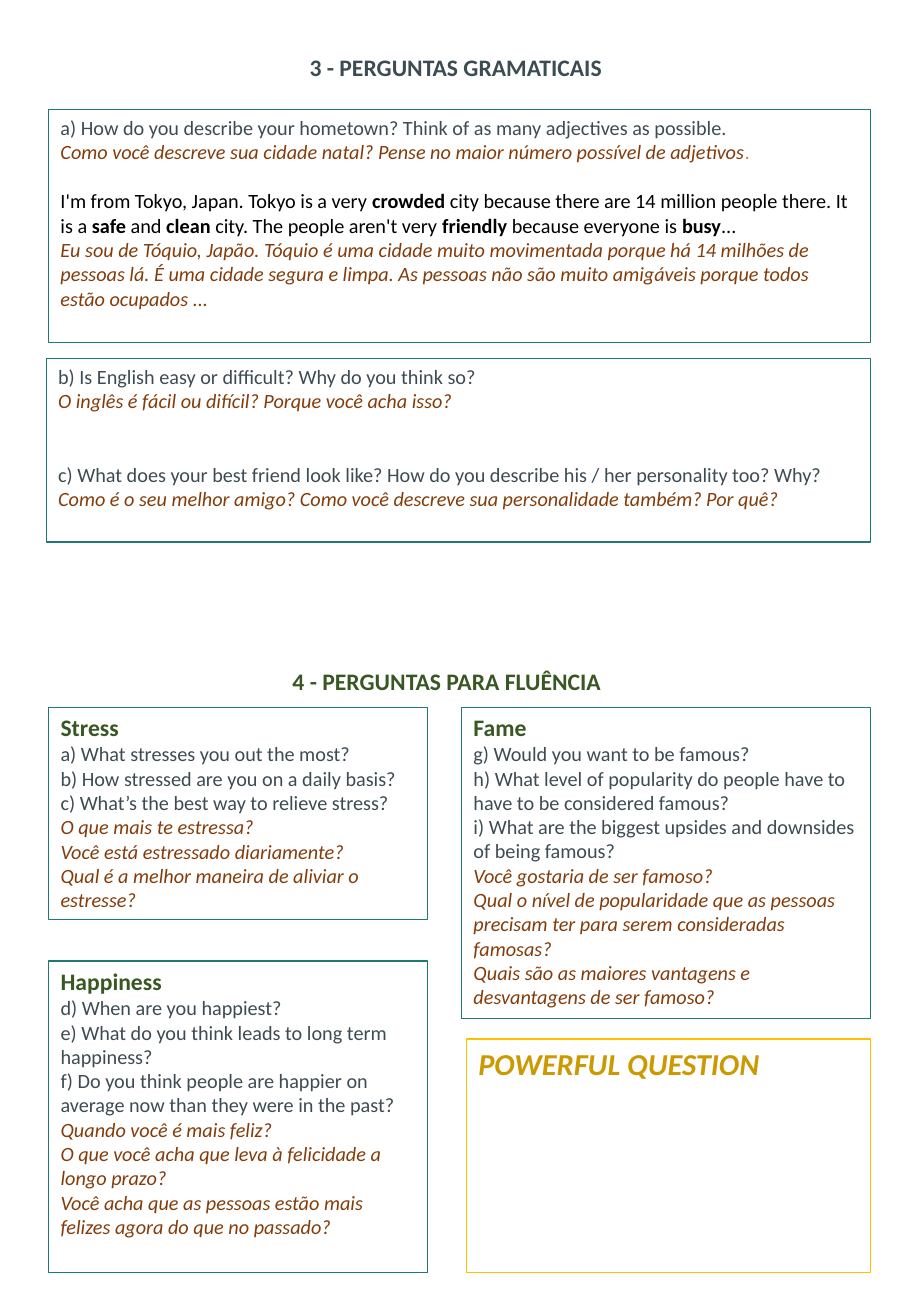
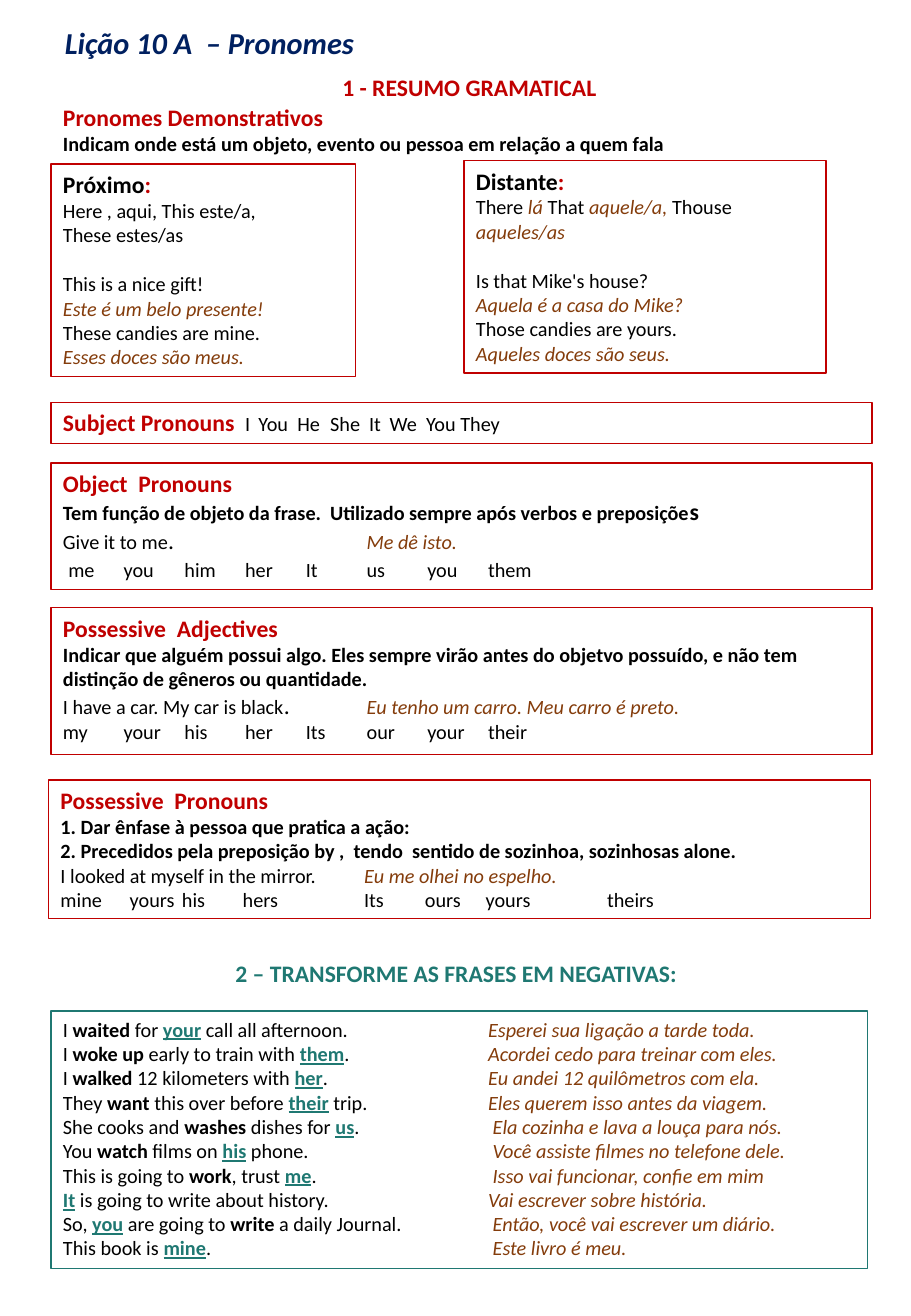
"""Build two worksheet pages of an English course."""
from dataclasses import dataclass

from lxml import etree
from pptx import Presentation
from pptx.dml.color import RGBColor
from pptx.enum.shapes import MSO_SHAPE
from pptx.enum.text import MSO_ANCHOR, PP_ALIGN
from pptx.oxml.ns import qn
from pptx.slide import Slide
from pptx.text.text import Font, TextFrame
from pptx.util import Inches, Pt

RECTANGLE = MSO_SHAPE.RECTANGLE
TOP = MSO_ANCHOR.TOP
CENTER = PP_ALIGN.CENTER

CELL = Inches(0.1)
COLUMNS, ROWS = 75, 108.3
FONT_NAME = "Calibri"
BLANK_LAYOUT = 6
BLANK_LINE = 14.6
TAB_STEP = 0.5

RED, TEAL, GREEN, SLATE = "C00000", "1F7872", "385723", "3D4C53"
NAVY, BROWN, GOLD, AMBER = "002060", "843C0B", "CC9900", "FFC000"
BLACK, ORANGE = "000000", "ED7D31"

BODY = {"size": Pt(12), "color": BLACK, "bold": False, "italic": False}
STRONG = BODY | {"bold": True}
QUESTION = BODY | {"color": SLATE}
TRANSLATION = BODY | {"color": BROWN, "italic": True}
HEADING = STRONG | {"size": Pt(14)}
BANNER = HEADING | {"size": Pt(18), "italic": True}

MARKS = {
    "*": {"bold": True},
    "_": {"bold": True, "underline": True, "color": TEAL},
    "~": TRANSLATION,
    "^": {"size": Pt(14)},
    "@": BODY,
    "#": {"color": RED},
    "§": {"color": ORANGE},
}


@dataclass
class Line:
    """A paragraph whose marked stretches change the base style."""

    text: str
    style: dict
    before: float = 0
    tabs: tuple[float, ...] = ()


@dataclass
class Box:
    """A block of lines placed in grid cells, framed when it has an outline."""

    left: float
    top: float
    width: float
    height: float
    lines: list[Line]
    outline: str = ""
    wrap: bool = True
    centered: bool = False


def rgb(value: str) -> RGBColor:
    """Turn a hex string into a colour."""
    return RGBColor.from_string(value)


def steps(*counts: int) -> tuple[float, ...]:
    """Return tab stops in inches at the given tab steps."""
    return tuple(count * TAB_STEP for count in counts)


def styled(style: dict, *texts: str) -> list[Line]:
    """Return one line per text, all in one style."""
    return [Line(text, style) for text in texts]


def title(left: float, top: float, width: float, text: str, color: str) -> Box:
    """Return a section title."""
    return Box(left, top, width, 3.4, styled(HEADING | {"color": color}, text), wrap=False)


def topic(heading: str, questions: list[str], translations: list[str]) -> list[Line]:
    """Return a heading, its questions and their translations."""
    return [
        *styled(HEADING | {"color": GREEN}, heading),
        *styled(QUESTION, *questions),
        *styled(TRANSLATION, *translations),
    ]


def rule(heading: str, explanations: list[str], *examples: Line) -> list[Line]:
    """Return a grammar heading, its explanations and examples."""
    return [
        *styled(HEADING | {"color": RED}, heading),
        *styled(STRONG, *explanations),
        *examples,
    ]


def exercises(pairs: list[tuple[str, str]]) -> list[Line]:
    """Return sentences with their translations in a second column."""
    return [Line(f"{english}\t~{portuguese}~", BODY, tabs=steps(7)) for english, portuguese in pairs]


def split_marks(text: str) -> list[tuple[str, str]]:
    """Split a text into pairs of mark and stretch."""
    pieces, mark, stretch = [], "", ""
    for letter in text:
        if letter in MARKS:
            pieces.append((mark, stretch))
            mark, stretch = ("" if mark == letter else letter), ""
        else:
            stretch += letter
    pieces.append((mark, stretch))
    return [piece for piece in pieces if piece[1]]


def apply_format(font: Font, style: dict) -> None:
    """Set the font attributes listed in a style."""
    font.name = FONT_NAME
    for name, value in style.items():
        if name == "color":
            font.color.rgb = rgb(value)
        else:
            setattr(font, name, value)


def write_lines(frame: TextFrame, box: Box) -> None:
    """Write the lines of a box into its text frame."""
    frame.word_wrap = box.wrap
    frame.vertical_anchor = TOP
    for index, line in enumerate(box.lines):
        paragraph = frame.add_paragraph() if index else frame.paragraphs[0]
        paragraph.alignment = CENTER if box.centered else PP_ALIGN.LEFT
        if line.before:
            paragraph.space_before = Pt(line.before)
        if line.tabs:
            tab_list = etree.SubElement(paragraph._p.get_or_add_pPr(), qn("a:tabLst"))
            for stop in line.tabs:
                etree.SubElement(tab_list, qn("a:tab"), pos=str(Inches(stop)), algn="l")
        for mark, stretch in split_marks(line.text):
            run = paragraph.add_run()
            run.text = stretch
            apply_format(run.font, line.style | MARKS.get(mark, {}))


def draw_box(slide: Slide, box: Box) -> None:
    """Draw a framed rectangle or a plain text box."""
    place = [round(length * CELL) for length in (box.left, box.top, box.width, box.height)]
    if box.outline:
        shape = slide.shapes.add_shape(RECTANGLE, *place)
        shape.shadow.inherit = False
        shape.fill.background()
        shape.line.color.rgb = rgb(box.outline)
        shape.line.width = Pt(0.75)
    else:
        shape = slide.shapes.add_textbox(*place)
    write_lines(shape.text_frame, box)


QUESTIONS_PAGE = [
    Box(4, 9, 67.7, 19.2, [
        Line("a) How do you describe your hometown? Think of as many adjectives as possible.", QUESTION),
        Line("Como você descreve sua cidade natal? Pense no maior número possível de adjetivos§.§", TRANSLATION),
        Line("I'm from Tokyo, Japan. Tokyo is a very *crowded *city because there are 14 million people there. "
             "It is a *safe* and *clean *city. The people aren't very *friendly *because everyone is *busy*...",
             BODY, BLANK_LINE),
        Line("Eu sou de Tóquio, Japão. Tóquio é uma cidade muito movimentada porque há 14 milhões de pessoas lá. "
             "É uma cidade segura e limpa. As pessoas não são muito amigáveis porque todos estão ocupados ...",
             TRANSLATION),
    ], TEAL),
    title(24.5, 3.9, 26.3, "3 - PERGUNTAS GRAMATICAIS", SLATE),
    Box(3.8, 29.5, 67.9, 15.1, [
        Line("b) Is English easy or difficult? Why do you think so?", QUESTION),
        Line("O inglês é fácil ou difícil? Porque você acha isso?", TRANSLATION),
        Line("c) What does your best friend look like? How do you describe his / her personality too? Why?",
             QUESTION, 2 * BLANK_LINE),
        Line("Como é o seu melhor amigo? Como você descreve sua personalidade também? Por quê?", TRANSLATION),
    ], TEAL),
    title(23.1, 54.4, 27.6, "4 - PERGUNTAS PARA FLUÊNCIA", GREEN),
    Box(4, 58.2, 31.2, 17.5, topic(
        "Stress",
        ["a) What stresses you out the most?",
         "b) How stressed are you on a daily basis?",
         "c) What’s the best way to relieve stress?"],
        ["O que mais te estressa?",
         "Você está estressado diariamente?",
         "Qual é a melhor maneira de aliviar o estresse?"]), TEAL),
    Box(38, 58.2, 33.7, 25.6, topic(
        "Fame",
        ["g) Would you want to be famous?",
         "h) What level of popularity do people have to have to be considered famous?",
         "i) What are the biggest upsides and downsides of being famous?"],
        ["Você gostaria de ser famoso?",
         "Qual o nível de popularidade que as pessoas precisam ter para serem consideradas famosas?",
         "Quais são as maiores vantagens e desvantagens de ser famoso?"]), TEAL),
    Box(4, 79.1, 31.2, 25.6, topic(
        "Happiness",
        ["d) When are you happiest?",
         "e) What do you think leads to long term happiness?",
         "f) Do you think people are happier on average now than they were in the past?"],
        ["Quando você é mais feliz?",
         "O que você acha que leva à felicidade a longo prazo?",
         "Você acha que as pessoas estão mais felizes agora do que no passado?"]), TEAL),
    Box(38.4, 85.5, 33.3, 19.2, styled(BANNER | {"color": GOLD}, "POWERFUL QUESTION"), AMBER),
]

PRONOUNS_PAGE = [
    Box(4.2, 1.5, 26.1, 4.3, styled(BANNER | {"color": NAVY}, "Lição 10 A  – Pronomes"),
        wrap=False, centered=True),
    Box(4.2, 8, 67.2, 23.6, rule(
        "Pronomes Demonstrativos",
        ["Indicam onde está um objeto, evento ou pessoa em relação a quem fala"])),
    Box(4.2, 13.5, 25.1, 17.5, [
        Line("Próximo#:#", HEADING),
        *styled(BODY, "Here , aqui, This este/a,", "These estes/as"),
        Line("This is a nice gift!", BODY, BLANK_LINE),
        Line("Este é um belo presente!", TRANSLATION),
        Line("These candies are mine.", BODY),
        Line("Esses doces são meus.", TRANSLATION),
    ], RED),
    Box(38.2, 13.2, 29.8, 17.5, [
        Line("Distante#:#", HEADING),
        Line("There ~lá ~That ~aquele/a,~ Thouse ~aqueles/as~", BODY),
        Line("Is that Mike's house?", BODY, BLANK_LINE),
        Line("Aquela é a casa do Mike?", TRANSLATION),
        Line("Those candies are yours.", BODY),
        Line("Aqueles doces são seus.", TRANSLATION),
    ], RED),
    Box(4.2, 33.1, 67.6, 3.4, [
        Line("Subject Pronouns@\tI\tYou\tHe\tShe\tIt\tWe\tYou They@", HEADING | {"color": RED},
             tabs=(1.5, 1.61, 1.93, 2.2, 2.52, 2.69, 2.99)),
    ], RED),
    Box(4.2, 38.1, 67.6, 10.4, rule(
        "Object  Pronouns",
        ["Tem função de objeto da frase.  Utilizado sempre após verbos e preposiçõe^s^"],
        Line("Give it to me^.\t^~Me dê isto.~", BODY, tabs=steps(5)),
        Line("^ ^me\tyou\thim\ther\tIt\tus\tyou\tthem", BODY, tabs=steps(*range(1, 8)))), RED),
    Box(4.2, 50, 67.6, 12.1, rule(
        "Possessive  Adjectives",
        ["Indicar que alguém possui algo. Eles sempre virão antes do objetvo possuído, "
         "e não tem distinção de gêneros ou quantidade."],
        Line("I have a car. My car is black^.\t^~Eu tenho um carro. Meu carro é preto.~", BODY, tabs=steps(5)),
        Line("my\tyour\this\ther\tIts\tour\tyour\ttheir", BODY, tabs=steps(*range(1, 8)))), RED),
    Box(4, 64.2, 67.7, 11.4, rule(
        "Possessive  Pronouns",
        ["1. Dar ênfase à pessoa que pratica a ação:",
         "2. Precedidos pela preposição by ,  tendo  sentido de sozinhoa, sozinhosas alone."],
        Line("I looked at myself in the mirror.\t~Eu me olhei no espelho.~", BODY, tabs=steps(5)),
        Line("mine\tyours\this\thers\tIts\tours\tyours\ttheirs", BODY,
             tabs=(0.57, *steps(2, 3, 5, 6, 7, 9)))), RED),
    Box(4.2, 83.2, 67.2, 21.2, exercises([
        ("I *waited* for _your_ call all afternoon.", "Esperei sua ligação a tarde toda."),
        ("I *woke up* early to train with _them_.", "Acordei cedo para treinar com eles."),
        ("I *walked* 12 kilometers with _her_.", "Eu andei 12 quilômetros com ela."),
        ("They *want* this over before _their_ trip.", "Eles querem isso antes da viagem."),
        ("She cooks and *washes* dishes for _us_.", " Ela cozinha e lava a louça para nós."),
        ("You *watch* films on _his_ phone.", " Você assiste filmes no telefone dele."),
        ("This is going to *work*, trust _me_.", " Isso vai funcionar, confie em mim"),
        ("_It_ is going to write about history.", "Vai escrever sobre história."),
        ("So, _you_ are going to *write* a daily Journal.", " Então, você vai escrever um diário."),
        ("This book is _mine_.", " Este livro é meu."),
    ]), TEAL),
    title(27.2, 5.5, 23.1, "1 - RESUMO GRAMATICAL", RED),
    title(18.4, 78.4, 38.6, "2 – TRANSFORME AS FRASES EM NEGATIVAS:", TEAL),
]


def main() -> None:
    """Build both pages and save the presentation."""
    presentation = Presentation()
    presentation.slide_width = round(COLUMNS * CELL)
    presentation.slide_height = round(ROWS * CELL)
    for page in (QUESTIONS_PAGE, PRONOUNS_PAGE):
        slide = presentation.slides.add_slide(presentation.slide_layouts[BLANK_LAYOUT])
        for box in page:
            draw_box(slide, box)
    presentation.save("out.pptx")


if __name__ == "__main__":
    main()
